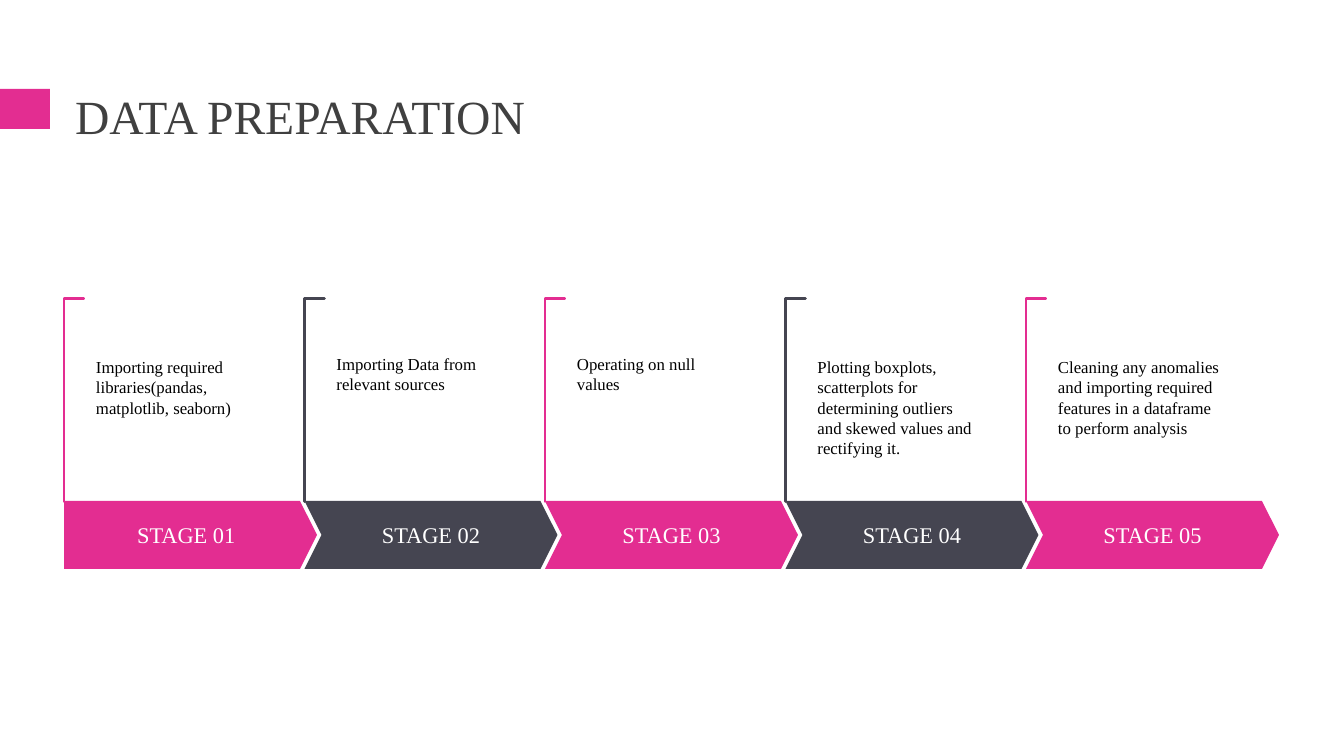
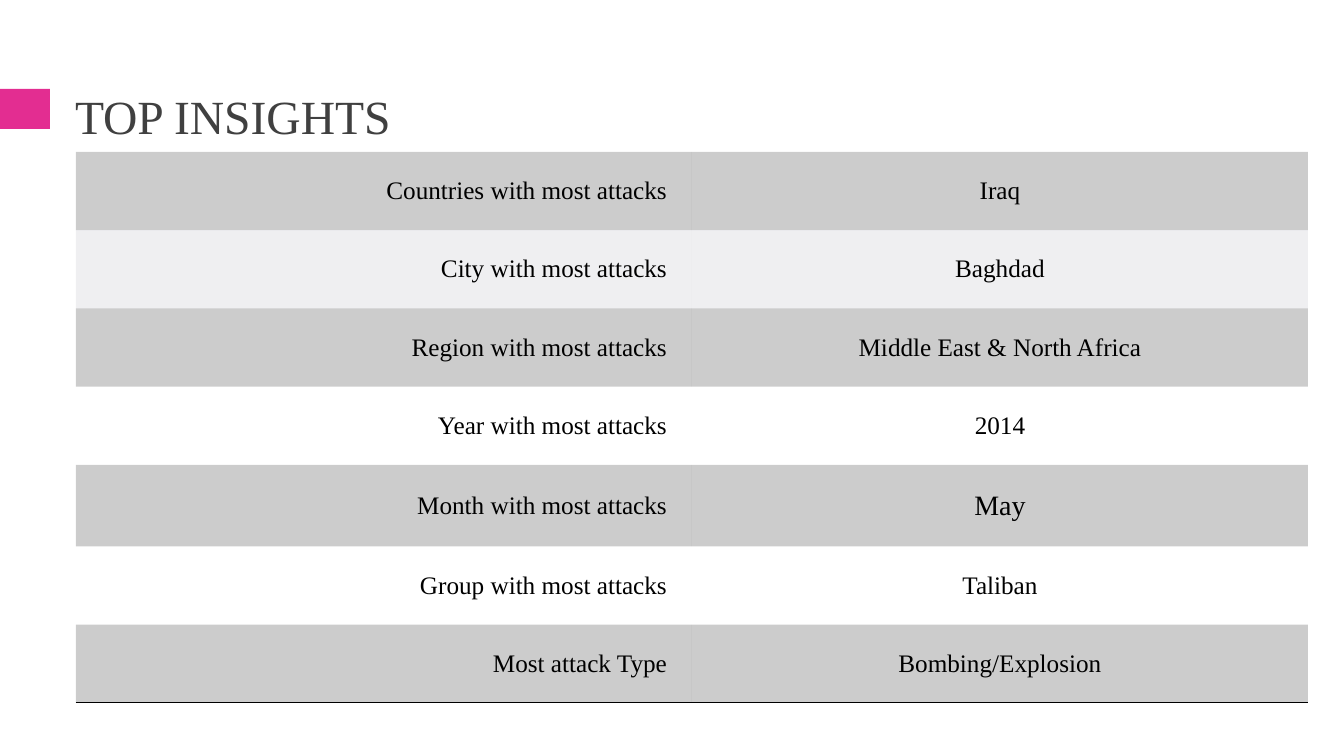
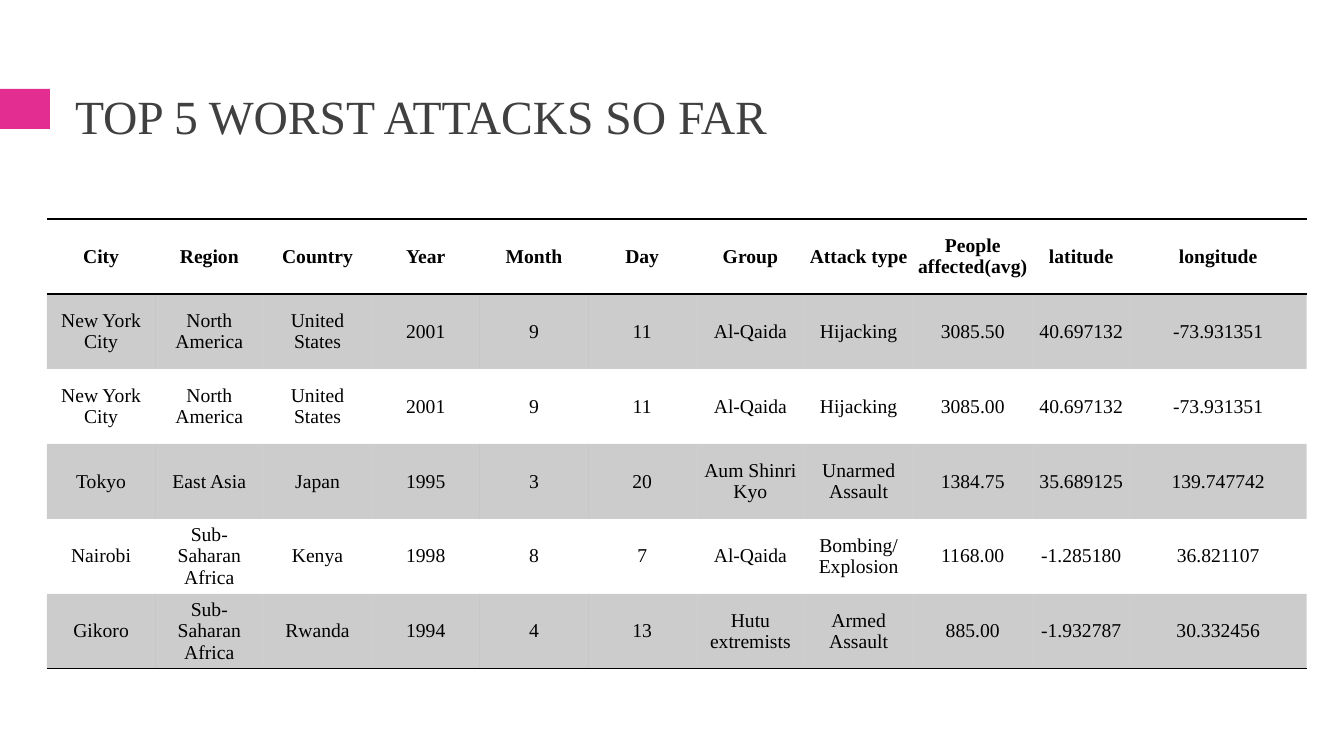
from pptx import Presentation
from pptx.dml.color import RGBColor
from pptx.enum.shapes import MSO_SHAPE as Shape
from pptx.enum.text import MSO_ANCHOR as Anchor, PP_ALIGN as Align
from pptx.oxml import parse_xml
from pptx.oxml.ns import nsdecls, qn
from pptx.util import Pt

PX = 914400 / 100.8
FONT = "Times New Roman"
PINK, SLATE, INK, BLACK, WHITE = "E32D91", "454551", "404040", "000000", "FFFFFF"
MIST = "B1B1BD"
NO_GRID_STYLE = "{2D5ABB26-0587-4C30-8999-92F81FD0307C}"


def px(*lengths):
    return [round(length * PX) for length in lengths]


def write(frame, text, size, color, align=Align.LEFT, anchor=Anchor.TOP,
          margins=(0, 0, 0, 0), bold=False):
    frame.word_wrap = True
    frame.vertical_anchor = anchor
    (frame.margin_left, frame.margin_top,
     frame.margin_right, frame.margin_bottom) = px(*margins)
    paragraph = frame.paragraphs[0]
    paragraph.alignment = align
    run = paragraph.add_run()
    run.text = text
    run.font.name, run.font.size, run.font.bold = FONT, Pt(size), bold
    run.font.color.rgb = RGBColor.from_string(color)
    return paragraph


presentation = Presentation()
presentation.slide_width, presentation.slide_height = px(1344, 756)

# Shared pink tab and title
slides = []
for title in ("DATA PREPARATION", "TOP INSIGHTS", "TOP 5 WORST ATTACKS SO FAR"):
    slide = presentation.slides.add_slide(presentation.slide_layouts[6])
    tab = slide.shapes.add_shape(Shape.RECTANGLE, *px(0, 89, 50, 40))
    tab.shadow.inherit = False
    tab.fill.solid()
    tab.fill.fore_color.rgb = RGBColor.from_string(PINK)
    tab.line.fill.background()
    title_box = slide.shapes.add_textbox(*px(65, 78, 1216, 82))
    paragraph = write(title_box.text_frame, title, 34, INK,
                      anchor=Anchor.MIDDLE, margins=(10, 5, 10, 5))
    paragraph.line_spacing = 0.9
    slides.append(slide)
stage_slide, insight_slide, attack_slide = slides

# Stages: bracket, arrow and description at an equal step
stages = [
    "Importing required libraries(pandas, matplotlib, seaborn)",
    "Importing Data from relevant sources",
    "Operating on null values",
    "Plotting boxplots, scatterplots for determining outliers and skewed "
    "values and rectifying it.",
    "Cleaning any anomalies and importing required features in a dataframe "
    "to perform analysis",
]
ROW_LEFT, ROW_RIGHT, ARROW_WIDTH = 64, 1279, 253
BRACKET_LENGTH, BRACKET_DEPTH = 203, 20
step = (ROW_RIGHT - ROW_LEFT - ARROW_WIDTH) / (len(stages) - 1)
for index, description in enumerate(stages):
    left = ROW_LEFT + index * step
    color = RGBColor.from_string(SLATE if index % 2 else PINK)

    bracket_left = left + (BRACKET_DEPTH - BRACKET_LENGTH) / 2
    bracket = stage_slide.shapes.add_shape(
        Shape.CORNER, *px(bracket_left, 390, BRACKET_LENGTH, BRACKET_DEPTH))
    bracket.rotation = 90
    bracket.adjustments[0] = bracket.adjustments[1] = 0.01
    bracket.shadow.inherit = False
    bracket.fill.solid()
    bracket.fill.fore_color.rgb = RGBColor.from_string(WHITE)
    bracket.line.color.rgb = color
    bracket.line.width = Pt(1.75)

    arrow = stage_slide.shapes.add_shape(
        Shape.CHEVRON if index else Shape.PENTAGON, *px(left, 501, ARROW_WIDTH, 68))
    arrow.adjustments[0] = 0.25
    arrow.shadow.inherit = False
    arrow.fill.solid()
    arrow.fill.fore_color.rgb = color
    arrow.line.fill.background()
    write(arrow.text_frame, f"STAGE {index + 1:02}", 16, WHITE,
          Align.CENTER, Anchor.MIDDLE)

    description_box = stage_slide.shapes.add_textbox(*px(left + 20, 310, 206, 132))
    write(description_box.text_frame, description, 12, BLACK, margins=(12, 47, 31, 0))

# Table contents
insights = [
    ("Countries with most attacks", "Iraq"),
    ("City with most attacks", "Baghdad"),
    ("Region with most attacks", "Middle East & North Africa"),
    ("Year with most attacks", "2014"),
    ("Month with most attacks", "May"),
    ("Group with most attacks", "Taliban"),
    ("Most attack Type", "Bombing/Explosion"),
]
attacks = [
    ("City", "Region", "Country", "Year", "Month", "Day", "Group", "Attack type",
     "People affected(avg)", "latitude", "longitude"),
    ("New York City", "North America", "United States", "2001", "9", "11",
     "Al-Qaida", "Hijacking", "3085.50", "40.697132", "-73.931351"),
    ("New York City", "North America", "United States", "2001", "9", "11",
     "Al-Qaida", "Hijacking", "3085.00", "40.697132", "-73.931351"),
    ("Tokyo", "East Asia", "Japan", "1995", "3", "20",
     "Aum Shinri Kyo", "Unarmed Assault", "1384.75", "35.689125", "139.747742"),
    ("Nairobi", "Sub-Saharan Africa", "Kenya", "1998", "8", "7",
     "Al-Qaida", "Bombing/Explosion", "1168.00", "-1.285180", "36.821107"),
    ("Gikoro", "Sub-Saharan Africa", "Rwanda", "1994", "4", "13",
     "Hutu extremists", "Armed Assault", "885.00", "-1.932787", "30.332456"),
]
tables = [
    dict(slide=insight_slide, rows=insights, left=76, top=152, widths=[616, 616],
         heights=[77, 77, 77, 77, 80, 77, 77], margins=(25, 24, 25, 24), size=18,
         sizes={"May": 20}, first_align=Align.RIGHT, header=False,
         fills={0: BLACK, 1: MIST, 2: BLACK, 4: BLACK, 6: BLACK}),
    dict(slide=attack_slide, rows=attacks, left=47, top=219,
         widths=[(1260 - 120 - 97 - 177) / 8] * 8 + [120, 97, 177],
         heights=[75] * 6, margins=(4, 2, 4, 2), size=14,
         sizes={}, first_align=Align.CENTER, header=True,
         fills={1: BLACK, 3: BLACK, 5: BLACK}),
]

# Tables with translucent bands and black rules
for spec in tables:
    rows, widths, heights = spec["rows"], spec["widths"], spec["heights"]
    frame = spec["slide"].shapes.add_table(
        len(rows), len(widths),
        *px(spec["left"], spec["top"], sum(widths), sum(heights)))
    table = frame.table
    table.first_row = spec["header"]
    table.horz_banding = False
    for style in frame._element.iter(qn("a:tableStyleId")):
        style.text = NO_GRID_STYLE
    for column, width in zip(table.columns, px(*widths)):
        column.width = width
    for row, height in zip(table.rows, px(*heights)):
        row.height = height

    for row_index, values in enumerate(rows):
        is_header = spec["header"] and row_index == 0
        rules = ["lnT"] if is_header else []
        if is_header or row_index == len(rows) - 1:
            rules.append("lnB")
        for column_index, value in enumerate(values):
            cell = table.cell(row_index, column_index)
            write(cell.text_frame, value, spec["sizes"].get(value, spec["size"]), BLACK,
                  Align.CENTER if column_index else spec["first_align"], bold=is_header)
            cell.vertical_anchor = Anchor.MIDDLE
            (cell.margin_left, cell.margin_top,
             cell.margin_right, cell.margin_bottom) = px(*spec["margins"])
            properties = cell._tc.get_or_add_tcPr()
            if row_index in spec["fills"]:
                cell.fill.solid()
                cell.fill.fore_color.rgb = RGBColor.from_string(spec["fills"][row_index])
                fill_color = next(properties.iter(qn("a:srgbClr")))
                fill_color.append(parse_xml(f'<a:alpha {nsdecls("a")} val="20000"/>'))
            else:
                cell.fill.background()
            for position, rule in enumerate(rules):
                properties.insert(position, parse_xml(
                    f'<a:{rule} {nsdecls("a")} w="12700"><a:solidFill>'
                    f'<a:srgbClr val="{BLACK}"/></a:solidFill></a:{rule}>'))

presentation.save("out.pptx")
